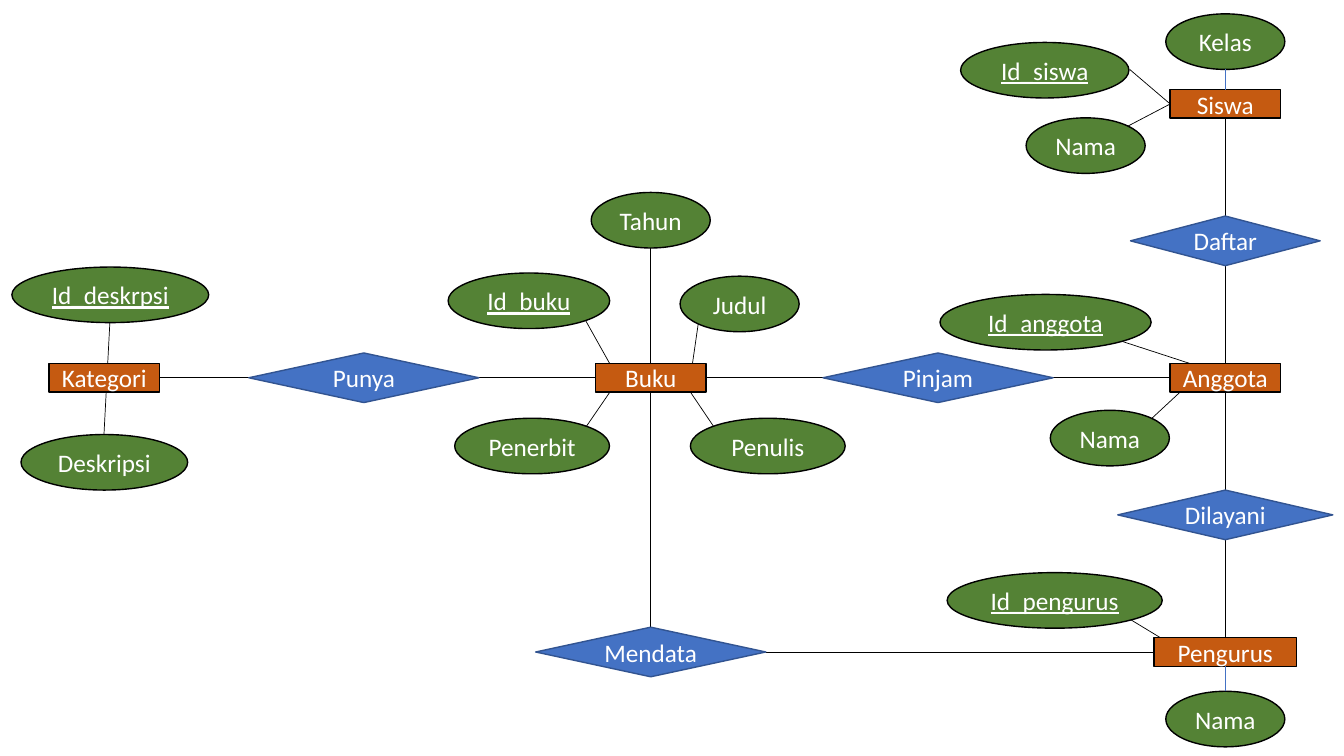
import pptx
import pptx.dml.color
import pptx.enum.shapes
import pptx.enum.text
import pptx.oxml
import pptx.oxml.ns
import pptx.util

Cm = pptx.util.Cm
Pt = pptx.util.Pt
RGBColor = pptx.dml.color.RGBColor
KIND = pptx.enum.shapes.MSO_SHAPE

BLACK = RGBColor(0x00, 0x00, 0x00)
WHITE = RGBColor(0xFF, 0xFF, 0xFF)
ORANGE = RGBColor(0xC5, 0x5A, 0x11)
GREEN = RGBColor(0x54, 0x82, 0x35)
BLUE = RGBColor(0x44, 0x72, 0xC4)
NAVY = RGBColor(0x32, 0x54, 0x91)

LEFT, MID, RIGHT = 2.63, 16.4, 30.88
TOP, ROW, BASE = 2.62, 9.52, 16.43
SMALL, WIDE = 3, 3.9

ENTITIES = [
    ("Buku", MID, ROW, 2.78),
    ("Pengurus", RIGHT, BASE, 3.59),
    ("Anggota", RIGHT, ROW, 2.78),
    ("Siswa", RIGHT, TOP, 2.78),
    ("Kategori", LEFT, ROW, 2.78),
]
RELATIONS = [
    ("Mendata", MID, BASE, 5.8),
    ("Pinjam", (MID + RIGHT) / 2, ROW, 5.8),
    ("Daftar", RIGHT, (TOP + ROW) / 2, 4.78),
    ("Dilayani", RIGHT, (ROW + BASE) / 2, 5.42),
    ("Punya", 9.17, ROW, 5.8),
]
FIELDS = [
    ("Id_siswa", 26.33, 1.77, 4.24),
    ("Nama", 27.36, 3.67, SMALL),
    ("Kelas", RIGHT, 1.05, SMALL),
    ("Id_anggota", 26.35, 8.12, 5.32),
    ("Nama", 27.97, 11.04, SMALL),
    ("Id_pengurus", 26.58, 15.13, 5.42),
    ("Nama", RIGHT, 18.12, SMALL),
    ("Id_buku", 13.33, 7.58, 4.07),
    ("Judul", 18.64, 7.66, SMALL),
    ("Tahun", MID, 5.55, SMALL),
    ("Penerbit", 13.41, 11.24, WIDE),
    ("Penulis", 19.35, 11.24, WIDE),
    ("Id_deskrpsi", 2.78, 7.43, 4.96),
    ("Deskripsi", LEFT, 11.65, 4.2),
]
LINKS = [
    (2.77, 8.1, 2.62, 10.95),
    (RIGHT, 2.98, RIGHT, 16.07),
    (4.02, ROW, 29.49, ROW),
    (MID, 9.88, MID, 15.8),
    (19.3, BASE, 29.08, BASE),
    (28.47, 1.75, 29.49, TOP),
    (28.42, 3.18, 29.49, TOP),
    (28.24, 8.59, 30.02, 9.17),
    (29.03, 10.54, 29.74, 9.88),
    (28.47, 15.6, 29.26, 16.08),
    (17.98, 10.74, 17.4, 9.88),
    (14.78, 10.74, 15.37, 9.88),
    (17.6, 8.13, 17.4, ROW),
    (14.76, 8.08, 15.37, 9.17),
    (MID, 6.25, MID, 9.17),
]
STUBS = [(RIGHT, 2.26, RIGHT, 1.75), (RIGHT, 17.42, RIGHT, 16.79)]


def add_node(slide, kind, label, x, y, width, height, fill, edge):
    """Add a labelled shape centred on x and y."""
    node = slide.shapes.add_shape(
        kind, Cm(x - width / 2), Cm(y - height / 2), Cm(width), Cm(height))
    node.shadow.inherit = False
    node.fill.solid()
    node.fill.fore_color.rgb = fill
    node.line.color.rgb = edge
    node.line.width = Pt(1)
    frame = node.text_frame
    frame.word_wrap = False
    frame.vertical_anchor = pptx.enum.text.MSO_ANCHOR.MIDDLE
    para = frame.paragraphs[0]
    para.text = label
    para.alignment = pptx.enum.text.PP_ALIGN.CENTER
    para.font.name = "Calibri"
    para.font.size = Pt(18)
    para.font.color.rgb = WHITE
    if label.startswith("Id_"):
        para.font.underline = True


def add_link(slide, ends, color):
    """Add a thin straight line between two points."""
    link = slide.shapes.add_connector(
        pptx.enum.shapes.MSO_CONNECTOR.STRAIGHT, *map(Cm, ends))
    link.line.color.rgb = color
    link.line.width = Pt(0.5)
    props = link._element.spPr
    props.append(pptx.oxml.parse_xml(
        "<a:effectLst %s/>" % pptx.oxml.ns.nsdecls("a")))


def main():
    """Build the library entity diagram and save it."""
    deck = pptx.Presentation()
    deck.slide_width = Cm(33.87)
    deck.slide_height = Cm(19.05)
    slide = deck.slides.add_slide(deck.slide_layouts[6])
    for ends in LINKS:
        add_link(slide, ends, BLACK)
    for item in ENTITIES:
        add_node(slide, KIND.RECTANGLE, *item, 0.72, ORANGE, BLACK)
    for item in RELATIONS:
        add_node(slide, KIND.DIAMOND, *item, 1.25, BLUE, NAVY)
    for item in FIELDS:
        add_node(slide, KIND.OVAL, *item, 1.4, GREEN, BLACK)
    for ends in STUBS:
        add_link(slide, ends, BLUE)
    deck.save("out.pptx")


if __name__ == "__main__":
    main()
